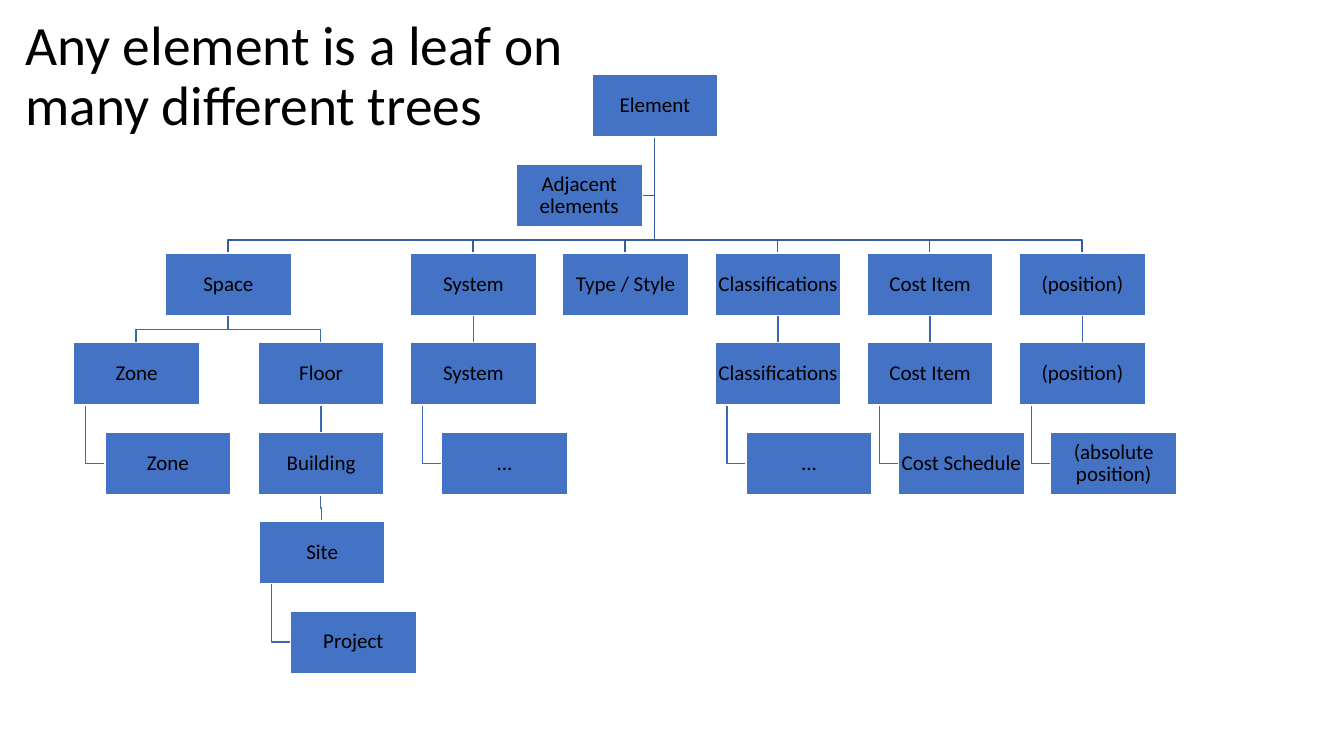
"""Build a slide with a tree of the structures that an element belongs to."""
from dataclasses import dataclass

from lxml.etree import SubElement
from pptx import Presentation
from pptx.dml.color import RGBColor
from pptx.enum.shapes import MSO_CONNECTOR, MSO_SHAPE
from pptx.enum.text import MSO_ANCHOR, MSO_AUTO_SIZE, PP_ALIGN
from pptx.oxml.ns import qn
from pptx.util import Pt

PX = 9144
BOX_WIDTH, BOX_HEIGHT = 125, 62
FIRST_ROW, ROW_STEP = 74, 88.65
FIRST_COLUMN, COLUMN_STEP = 407, 151
HANG_INSET, HANG_INDENT = 12, 31
ROW_GAP = 26


@dataclass(frozen=True)
class Theme:
    """Colours, type sizes and the font of the slide."""

    font: str = "Calibri"
    title_size: float = 39.6
    box_size: float = 15
    text: str = "000000"
    box: str = "4472C4"
    box_line: str = "FFFFFF"
    root_link: str = "365B9D"
    link: str = "3E67B2"


@dataclass
class Box:
    """A drawn box with its place in px."""

    shape: object
    left: int
    top: int

    @property
    def center(self):
        return self.left + BOX_WIDTH // 2

    @property
    def middle(self):
        return self.top + BOX_HEIGHT // 2

    @property
    def bottom(self):
        return self.top + BOX_HEIGHT


def apply(target, values):
    """Set every attribute named in values on the target."""
    for name, value in values.items():
        setattr(target, name, value)


class TreeSlide:
    """Draws titles, boxes and links on one slide."""

    def __init__(self, slide, theme):
        self.slide, self.theme = slide, theme

    def label(self, shape, text, size, alignment, inset):
        frame = shape.text_frame
        frame.text = text
        apply(frame, {
            "word_wrap": True,
            "auto_size": MSO_AUTO_SIZE.NONE,
            "vertical_anchor": MSO_ANCHOR.MIDDLE,
            "margin_left": inset * PX,
            "margin_right": inset * PX,
            "margin_top": inset * PX // 2,
            "margin_bottom": inset * PX // 2,
        })
        paragraph = frame.paragraphs[0]
        apply(paragraph, {"alignment": alignment, "line_spacing": 0.9})
        apply(paragraph.font, {"name": self.theme.font, "size": Pt(size)})
        paragraph.font.color.rgb = RGBColor.from_string(self.theme.text)

    def title(self, text, left, top, width, height):
        shape = self.slide.shapes.title
        apply(shape, {"left": left * PX, "top": top * PX,
                      "width": width * PX, "height": height * PX})
        self.label(shape, text, self.theme.title_size, PP_ALIGN.LEFT, 10)

    def box(self, text, left, row):
        top = round(FIRST_ROW + ROW_STEP * row)
        shape = self.slide.shapes.add_shape(
            MSO_SHAPE.RECTANGLE, left * PX, top * PX,
            BOX_WIDTH * PX, BOX_HEIGHT * PX)
        shape.shadow.inherit = False
        shape.fill.solid()
        shape.fill.fore_color.rgb = RGBColor.from_string(self.theme.box)
        self.outline(shape, self.theme.box_line)
        self.label(shape, text, self.theme.box_size, PP_ALIGN.CENTER, 1)
        return Box(shape, left, top)

    def outline(self, shape, color):
        shape.line.color.rgb = RGBColor.from_string(color)
        shape.line.width = Pt(1)

    def send_back(self, shape):
        element = shape.element
        element.getparent().insert(3, element)

    def straight(self, parent, child, color):
        connector = self.slide.shapes.add_connector(
            MSO_CONNECTOR.STRAIGHT, parent.center * PX, parent.bottom * PX,
            child.center * PX, child.top * PX)
        connector.begin_connect(parent.shape, 2)
        connector.end_connect(child.shape, 0)
        self.outline(connector, color)
        SubElement(connector.element.spPr, qn("a:effectLst"))
        self.send_back(connector)

    def elbow(self, points, color):
        builder = self.slide.shapes.build_freeform(*points[0], scale=PX)
        builder.add_line_segments(points[1:], close=False)
        shape = builder.convert_to_shape()
        shape.shadow.inherit = False
        shape.fill.background()
        self.outline(shape, color)
        self.send_back(shape)

    def below(self, parent, text, left, row, color=None):
        child = self.box(text, left, row)
        color = color or self.theme.link
        if child.center == parent.center:
            self.straight(parent, child, color)
        else:
            turn = child.top - ROW_GAP // 2
            self.elbow([(parent.center, parent.bottom), (parent.center, turn),
                        (child.center, turn), (child.center, child.top)], color)
        return child

    def hanging(self, parent, text, row):
        child = self.box(text, parent.left + HANG_INDENT, row)
        stem = parent.left + HANG_INSET
        self.elbow([(stem, parent.bottom), (stem, child.middle),
                    (child.left, child.middle)], self.theme.link)

    def beside(self, parent, text, left, row):
        child = self.box(text, left, row)
        self.elbow([(parent.center, parent.bottom),
                    (parent.center, child.middle),
                    (child.left + BOX_WIDTH, child.middle)],
                   self.theme.root_link)


BRANCHES = [
    ("System", "..."),
    ("Type / Style", None),
    ("Classifications", "..."),
    ("Cost Item", "Cost Schedule"),
    ("(position)", "(absolute position)"),
]


def main():
    presentation = Presentation()
    apply(presentation, {"slide_width": 1333 * PX, "slide_height": 750 * PX})
    theme = Theme()
    tree = TreeSlide(
        presentation.slides.add_slide(presentation.slide_layouts[5]), theme)
    tree.title("Any element is a leaf on many different trees", 15, 35, 630, 84)

    element = tree.box("Element", 587, 0)
    tree.beside(element, "Adjacent elements", 512, 1)

    space = tree.below(element, "Space", 164, 2, theme.root_link)
    zone = tree.below(space, "Zone", 73, 3)
    tree.hanging(zone, "Zone", 4)
    floor = tree.below(space, "Floor", 256, 3)
    building = tree.below(floor, "Building", 256, 4)
    site = tree.below(building, "Site", 257, 5)
    tree.hanging(site, "Project", 6)

    for column, (name, last) in enumerate(BRANCHES):
        left = FIRST_COLUMN + COLUMN_STEP * column
        head = tree.below(element, name, left, 2, theme.root_link)
        if last:
            tree.hanging(tree.below(head, name, left, 3), last, 4)

    presentation.save("out.pptx")


if __name__ == "__main__":
    main()
